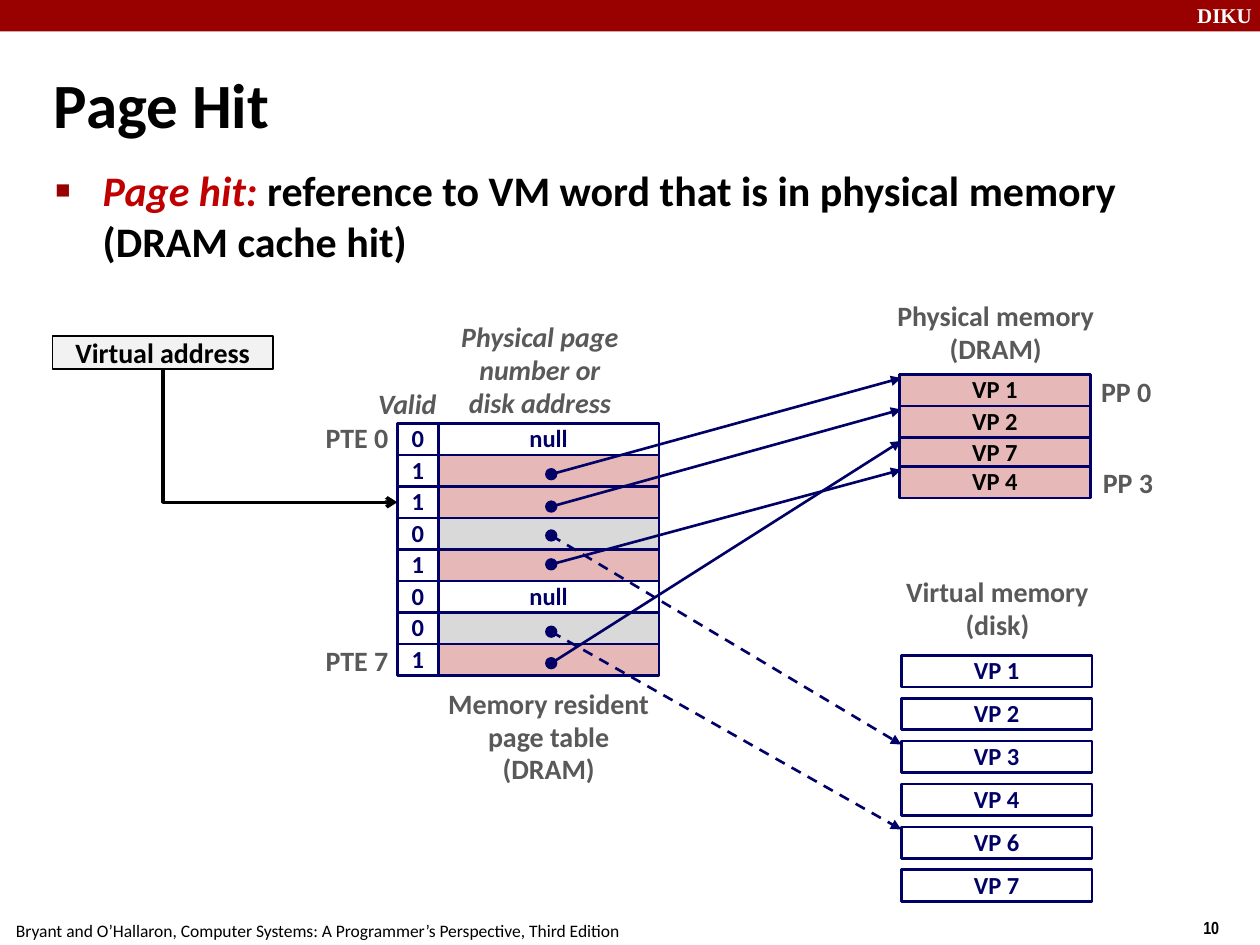
from dataclasses import dataclass
from typing import Optional

from lxml.etree import SubElement
from pptx import Presentation
from pptx.dml.color import RGBColor
from pptx.enum.dml import MSO_LINE
from pptx.enum.shapes import MSO_CONNECTOR, MSO_SHAPE
from pptx.enum.text import MSO_ANCHOR, MSO_AUTO_SIZE, PP_ALIGN
from pptx.oxml.ns import qn
from pptx.util import Pt

NAVY, PINK, GREY, WHITE, BLACK = "000066", "E6B9B8", "D9D9D9", "FFFFFF", "000000"
LABEL, DARK_RED = "595959", "990000"
LEFT, CENTER, RIGHT = PP_ALIGN.LEFT, PP_ALIGN.CENTER, PP_ALIGN.RIGHT
TOP, MIDDLE = MSO_ANCHOR.TOP, MSO_ANCHOR.MIDDLE
ROW = 18


@dataclass
class Entry:
    """One page table entry."""
    valid: str
    fill: str
    text: str = ""
    dot_y: Optional[float] = None
    target_y: Optional[float] = None


@dataclass
class Label:
    """A grey caption of the diagram."""
    text: str
    box: tuple
    align: PP_ALIGN = CENTER
    anchor: MSO_ANCHOR = MIDDLE
    italic: bool = False


ENTRIES = [
    Entry("0", WHITE, "null"),
    Entry("1", PINK, dot_y=271, target_y=216),
    Entry("1", PINK, dot_y=289.5, target_y=234),
    Entry("0", GREY, dot_y=306, target_y=425.5),
    Entry("1", PINK, dot_y=322.5, target_y=268.5),
    Entry("0", WHITE, "null"),
    Entry("0", GREY, dot_y=361, target_y=474),
    Entry("1", PINK, dot_y=379, target_y=252),
]
LABELS = [
    Label("Memory resident\npage table\n(DRAM)", (249, 389.5, 129, 64), anchor=TOP),
    Label("Physical memory\n(DRAM)", (505.5, 168, 127, 45), anchor=TOP),
    Label("Virtual memory\n(disk)", (510.5, 325.5, 119, 45), anchor=TOP),
    Label("Valid", (209, 218, 54, 27), LEFT, TOP, True),
    Label("Physical page\nnumber or\ndisk address", (256.5, 180, 104, 64), italic=True),
    Label("PTE 0", (179, 237, 50, 27), RIGHT),
    Label("PTE 7", (179, 364.5, 50, 27), RIGHT),
    Label("PP 0", (622, 211, 43, 27)),
    Label("PP 3", (623, 263, 43, 27)),
]
MEMORY = [("VP 7", 250), ("VP 4", 266.5), ("VP 2", 232), ("VP 1", 214)]
DISK = ["VP 1", "VP 2", "VP 3", "VP 4", "VP 6", "VP 7"]


def rgb(color: str) -> RGBColor:
    """Turn a hex string into a colour."""
    return RGBColor.from_string(color)


def add_run(p, text: str, size: float = 16, color: str = BLACK, bold: bool = True,
            italic: bool = False, font: str = "Calibri") -> None:
    """Append a formatted run to a paragraph."""
    r = p.add_run()
    r.text = text
    f = r.font
    f.size, f.bold, f.italic, f.name = Pt(size), bold, italic, font
    f.color.rgb = rgb(color)


def write(tf, text: str, align: PP_ALIGN = LEFT, anchor: MSO_ANCHOR = TOP,
          wrap: bool = False, spacing: float = 1.0, **fmt) -> None:
    """Fill a text frame with one paragraph per line of text."""
    tf.auto_size, tf.word_wrap, tf.vertical_anchor = MSO_AUTO_SIZE.NONE, wrap, anchor
    tf.margin_left = tf.margin_right = Pt(7.2)
    tf.margin_top = tf.margin_bottom = Pt(3.6)
    for i, line in enumerate(text.split("\n")):
        p = tf.add_paragraph() if i else tf.paragraphs[0]
        p.alignment, p.line_spacing, p.space_before = align, spacing, Pt(0)
        add_run(p, line, **fmt)


def add_text(s, text: str, box: tuple, **fmt) -> None:
    """Add a text box."""
    write(s.shapes.add_textbox(*map(Pt, box)).text_frame, text, **fmt)


def add_box(s, box: tuple, fill: Optional[str], line: Optional[str] = NAVY,
            width: float = 1.5, kind: MSO_SHAPE = MSO_SHAPE.RECTANGLE, text: str = "", **fmt):
    """Add a flat shape, with centred text if given."""
    sp = s.shapes.add_shape(kind, *map(Pt, box))
    sp.shadow.inherit = False
    if fill:
        sp.fill.solid()
        sp.fill.fore_color.rgb = rgb(fill)
    else:
        sp.fill.background()
    if line:
        sp.line.color.rgb, sp.line.width = rgb(line), Pt(width)
    else:
        sp.line.fill.background()
    if text:
        write(sp.text_frame, text, align=CENTER, anchor=MIDDLE, **fmt)
    return sp


def add_cell(s, box: tuple, fill: Optional[str], text: str = "", color: str = NAVY):
    """Add a box of the page table or of a memory."""
    return add_box(s, box, fill, text=text, color=color, size=14, spacing=0.98)


def add_arrow(s, start: tuple, end: tuple, color: str = NAVY, width: float = 1.5,
              head: str = "triangle", dashed: bool = False,
              kind: MSO_CONNECTOR = MSO_CONNECTOR.STRAIGHT):
    """Add a connector with an arrowhead at its end."""
    c = s.shapes.add_connector(kind, *map(Pt, start + end))
    c.line.color.rgb, c.line.width = rgb(color), Pt(width)
    if dashed:
        c.line.dash_style = MSO_LINE.DASH
    SubElement(c.line._get_or_add_ln(), qn("a:tailEnd"), type=head)
    SubElement(c._element.spPr, qn("a:effectLst"))
    return c


def add_elbow(s, source, target) -> None:
    """Join the bottom of one box to the left side of another with a single bend."""
    x1, y1 = source.left + source.width // 2, source.top + source.height
    x2, y2 = target.left, target.top + target.height // 2
    c = add_arrow(s, (0, 0), (1, 1), BLACK, 2, "arrow", kind=MSO_CONNECTOR.ELBOW)
    c.begin_connect(source, 2)
    c.end_connect(target, 1)
    c.width, c.height = y2 - y1, x2 - x1
    c.left, c.top = (x1 + x2 - c.width) // 2, (y1 + y2 - c.height) // 2
    xfrm = c._element.spPr.find(qn("a:xfrm"))
    xfrm.set("rot", "16200000")
    xfrm.set("flipH", "1")
    c._element.spPr.find(qn("a:prstGeom")).set("prst", "bentConnector2")


def place(sp, box: tuple) -> None:
    """Move and size a placeholder."""
    sp.left, sp.top, sp.width, sp.height = map(Pt, box)


def add_headings(s) -> None:
    """Fill the title and the bulleted body."""
    title, body = s.placeholders
    place(title, (23.5, 28, 652, 62))
    write(title.text_frame, "Page Hit", anchor=MIDDLE, wrap=True, size=36)
    place(body, (24.5, 90.5, 654, 62))
    write(body.text_frame, "Page hit: ", wrap=True, size=24, color="C00000", italic=True)
    p = body.text_frame.paragraphs[0]
    add_run(p, "reference to VM word that is in physical memory (DRAM cache hit)", size=24)
    pPr = p._p.get_or_add_pPr()
    pPr.set("marL", str(Pt(27)))
    pPr.set("indent", str(-Pt(27)))
    SubElement(SubElement(pPr, qn("a:buClr")), qn("a:srgbClr"), val=DARK_RED)
    SubElement(pPr, qn("a:buSzPct"), val="60000")
    SubElement(pPr, qn("a:buChar"), char="■")


def add_frame(s) -> None:
    """Draw the top band and the footer."""
    add_box(s, (0, 0, 720, 18), DARK_RED, None)
    add_text(s, "DIKU", (677, -2, 48, 22), wrap=True, size=12, color=WHITE, font="Times New Roman")
    add_text(s, "10", (680.5, 520.5, 54, 21), size=10, font="Arial Narrow")
    add_text(s, "Bryant and O’Hallaron, Computer Systems: A Programmer’s Perspective, Third Edition",
             (2, 522, 359, 19), size=10, bold=False)


def add_diagram(s) -> None:
    """Draw the page table, both memories and the arrows between them."""
    valid_cells = []
    for i, e in enumerate(ENTRIES):
        y = 242 + i * ROW
        add_cell(s, (250.5, y, 126, ROW), e.fill, e.text)
        valid_cells.append(add_cell(s, (227, y, 23.5, ROW), None, e.valid))
    for name, y in MEMORY:
        add_cell(s, (514, y, 109, ROW), PINK, name, BLACK)
    for i, name in enumerate(DISK):
        add_cell(s, (515, 374.5 + i * 24.5, 109, ROW), WHITE, name)
    for e in ENTRIES:
        if e.dot_y:
            add_box(s, (312, e.dot_y - 3, 6, 6), NAVY, width=1, kind=MSO_SHAPE.OVAL)
            add_arrow(s, (315, e.dot_y), (515, e.target_y), dashed=e.fill == GREY)
    for b in LABELS:
        add_text(s, b.text, b.box, align=b.align, anchor=b.anchor, italic=b.italic,
                 color=LABEL, spacing=0.98)
    address = add_box(s, (30, 192, 126, 19), "F2F2F2", BLACK, 1, text="Virtual address", wrap=True)
    add_elbow(s, address, valid_cells[2])


def main() -> None:
    """Build the slide and save it."""
    prs = Presentation()
    prs.slide_width, prs.slide_height = Pt(720), Pt(540)
    s = prs.slides.add_slide(prs.slide_layouts[1])
    add_headings(s)
    add_frame(s)
    add_diagram(s)
    prs.save("out.pptx")


if __name__ == "__main__":
    main()
